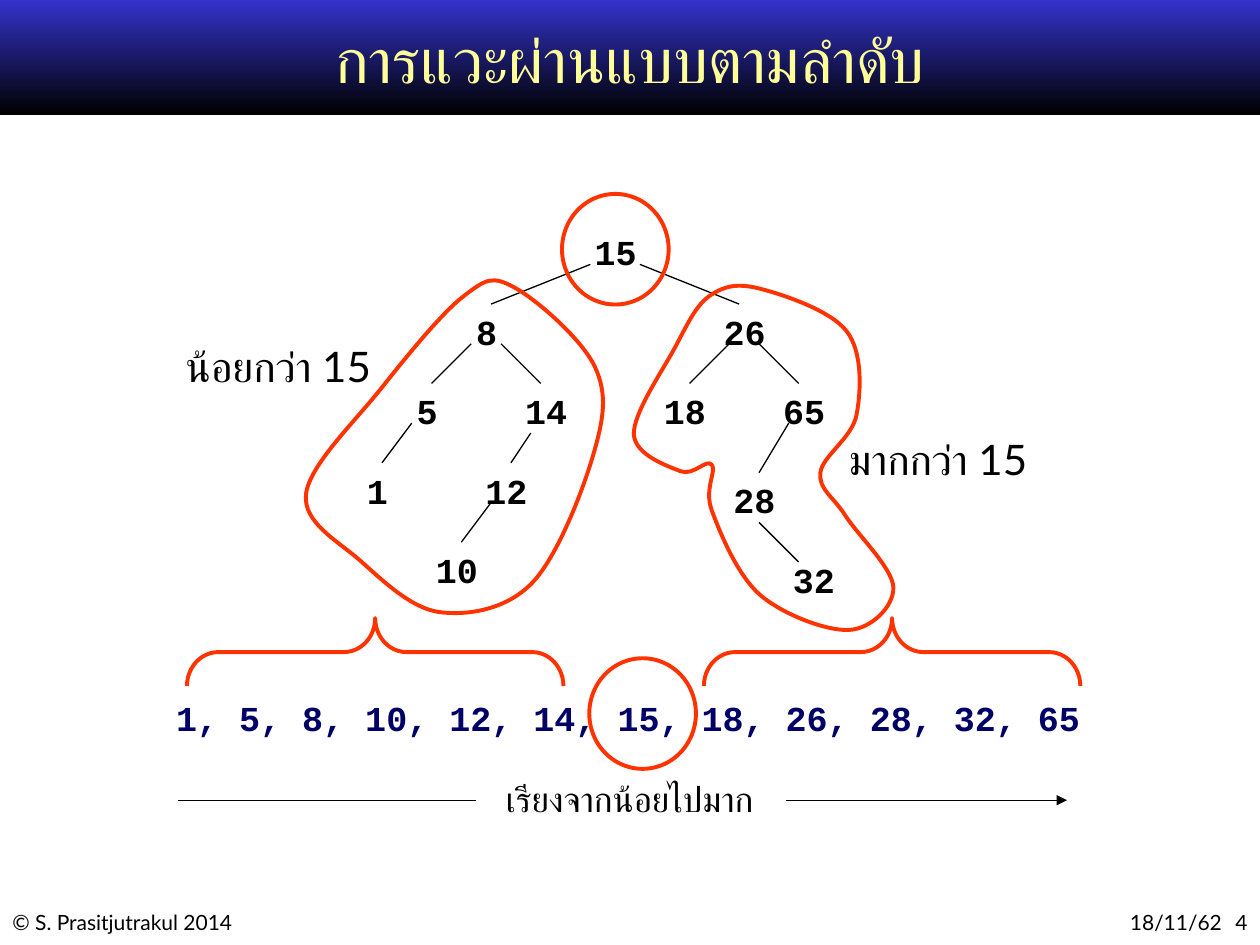
from lxml.etree import SubElement
from pptx import Presentation
from pptx.dml.color import RGBColor
from pptx.enum.shapes import MSO_CONNECTOR as Connector, MSO_SHAPE as Shape
from pptx.enum.text import MSO_ANCHOR as Anchor, PP_ALIGN as Align
from pptx.oxml.ns import qn
from pptx.util import Cm, Pt

BLACK = RGBColor(0x00, 0x00, 0x00)
BLUE = RGBColor(0x33, 0x33, 0xCC)
NAVY = RGBColor(0x00, 0x00, 0x66)
YELLOW = RGBColor(0xFF, 0xFF, 0x99)
ORANGE = RGBColor(0xFF, 0x33, 0x00)

TITLE = {"name": "DejaVu Sans Mono", "size": Pt(36)}
FOOTER = {"name": "Lato", "size": Pt(12)}
LABEL = {"name": "Lato", "size": Pt(24)}
CAPTION = {"name": "Courier New", "size": Pt(20)}
NUMBER = {"name": "Courier New", "size": Pt(20), "bold": True}

presentation = Presentation()
presentation.slide_width, presentation.slide_height = Cm(25.4), Cm(19.05)
slide = presentation.slides.add_slide(presentation.slide_layouts[6])
shapes = slide.shapes


def add_text(parts, left, top, width, height, font_format, color=BLACK,
             align=Align.LEFT, anchor=Anchor.TOP, wrap=True):
    box = shapes.add_textbox(Cm(left), Cm(top), Cm(width), Cm(height))
    frame = box.text_frame
    frame.word_wrap = wrap
    frame.vertical_anchor = anchor
    paragraph = frame.paragraphs[0]
    paragraph.alignment = align
    for part in parts:
        run = paragraph.add_run()
        run.text = part
        for attribute, value in font_format.items():
            setattr(run.font, attribute, value)
        run.font.color.rgb = color
    return paragraph


def add_line(x1, y1, x2, y2):
    line = shapes.add_connector(Connector.STRAIGHT, Cm(x1), Cm(y1), Cm(x2), Cm(y2))
    line.line.color.rgb = BLACK
    line.line.width = Pt(0.75)
    SubElement(line._element.spPr, qn("a:effectLst"))
    return line


# Title band
band = shapes.add_shape(Shape.RECTANGLE, 0, 0, Cm(25.4), Cm(2.32))
band.shadow.inherit = False
band.line.fill.background()
band.fill.gradient()
band.fill.gradient_angle = 270
for stop, position, color in zip(band.fill.gradient_stops, (0, 1), (BLUE, BLACK)):
    stop.position = position
    stop.color.rgb = color

# Footer, with a widened space before the page number, and title
add_text(["© S. Prasitjutrakul 2014"], 0, 18.21, 8.26, 0.76, FOOTER)
date_line = add_text(["18/11/62", " ", "4"], 19.89, 18.21, 5.51, 0.76, FOOTER,
                     align=Align.RIGHT)
date_line.runs[1]._r.get_or_add_rPr().set("spc", "460")
add_text(["การแวะผ่านแบบตามลำดับ"], 1.9, 0.13, 21.6, 2.1, TITLE, YELLOW,
         Align.CENTER, Anchor.MIDDLE)

# Tree nodes: value, left, top
nodes = [
    (15, 11.71, 4.53),
    (8, 9.11, 6.13), (26, 14.31, 6.13),
    (5, 7.91, 7.73), (14, 10.31, 7.73), (18, 13.11, 7.73), (65, 15.51, 7.73),
    (28, 14.51, 9.53), (32, 15.71, 11.13),
    (12, 9.51, 9.33), (10, 8.51, 10.93), (1, 6.91, 9.33),
]
for value, left, top in nodes:
    add_text([str(value)], left, top, 1.4, 1.09, NUMBER, align=Align.CENTER)

# Tree branches: parent end, child end
branches = [
    (11.9, 5.33, 9.9, 6.13), (12.9, 5.33, 14.9, 6.13),
    (9.5, 6.93, 8.7, 7.73), (10.1, 6.93, 10.9, 7.73),
    (8.3, 8.53, 7.7, 9.33), (10.7, 8.73, 10.3, 9.33),
    (9.9, 10.13, 9.3, 10.93), (14.7, 6.93, 13.9, 7.73),
    (15.3, 6.93, 16.1, 7.73), (15.9, 8.53, 15.3, 9.53),
    (15.3, 10.53, 16.1, 11.33),
]
for branch in branches:
    add_line(*branch)

# Visit order
add_text(["1, 5, 8, 10, 12, 14, 15, 18, 26, 28, 32, 65"], 3.3, 13.92, 18.8, 1.09,
         NUMBER, NAVY)

# Direction caption between a line and an arrow
arrow = add_line(15.85, 16.13, 21.51, 16.13)
SubElement(arrow.line._get_or_add_ln(), qn("a:tailEnd"), type="triangle")
add_text(["เรียงจากน้อยไปมาก"], 9.15, 15.54, 7.09, 1.09, CAPTION, align=Align.CENTER)
add_line(9.6, 16.13, 3.58, 16.13)

# Circles round the root and its place in the order
outlines = []
for left, top in [(11.33, 3.91), (11.88, 13.27)]:
    outlines.append(shapes.add_shape(Shape.OVAL, Cm(left), Cm(top), Cm(2.15), Cm(2.23)))

# Smooth closed loops round the two subtrees: bounds, then knots
loops = [
    ((6.1, 5.54, 6.15, 6.88), [
        (9.35, 5.97), (7.67, 7.85), (6.17, 9.96), (7.26, 11.3), (8.86, 12.34),
        (10.72, 11.76), (11.96, 9.17), (11.99, 7.39), (10.36, 5.79)]),
    ((12.75, 5.72, 5.26, 7.01), [
        (15.32, 5.82), (14.3, 5.97), (13.59, 7.04), (12.78, 8.76), (13.72, 9.5),
        (14.35, 9.37), (14.35, 10.29), (15.32, 11.99), (17.12, 12.7), (18.01, 11.84),
        (17.04, 10.39), (16.54, 9.53), (17.27, 8.36), (17.07, 6.68)]),
]
for (left, top, width, height), knots in loops:
    corners = [(Cm(x - left), Cm(y - top)) for x, y in knots]
    builder = shapes.build_freeform(*corners[0])
    builder.add_line_segments(corners[1:] + corners[:1], close=True)
    loop = builder.convert_to_shape()
    loop.left, loop.top, loop.width, loop.height = Cm(left), Cm(top), Cm(width), Cm(height)
    outline = next(loop._element.iter(qn("a:path")))
    outline.set("w", str(Cm(width)))
    outline.set("h", str(Cm(height)))
    start = outline.find(qn("a:moveTo"))[0]
    start.set("x", str(corners[0][0]))
    start.set("y", str(corners[0][1]))
    # Each side becomes a curve whose tangents follow the neighbouring knots
    for index, side in enumerate(outline.findall(qn("a:lnTo"))):
        before, first, last, after = [
            corners[(index + shift) % len(corners)] for shift in (-1, 0, 1, 2)]
        curve = SubElement(outline, qn("a:cubicBezTo"))
        outline.replace(side, curve)
        controls = [
            [b + (c - a) / 6 for a, b, c in zip(before, first, last)],
            [b - (c - a) / 6 for a, b, c in zip(first, last, after)],
            last]
        for x, y in controls:
            SubElement(curve, qn("a:pt"), x=str(round(x)), y=str(round(y)))
    outlines.append(loop)

# Braces over the two halves of the order
for left in (6.88, 17.3):
    brace = shapes.add_shape(Shape.RIGHT_BRACE, Cm(left), Cm(9.35), Cm(1.37), Cm(7.59))
    brace.rotation = 270
    brace.adjustments[0] = 0.46
    outlines.append(brace)

for shape in outlines:
    shape.shadow.inherit = False
    shape.fill.background()
    shape.line.color.rgb = ORANGE
    shape.line.width = Pt(2.25)

# Subtree labels
add_text(["น้อยกว่า 15"], 3.49, 6.74, 4.6, 1.3, LABEL, wrap=False)
add_text(["มากกว่า 15"], 16.86, 8.61, 4.5, 1.3, LABEL, wrap=False)

presentation.save("out.pptx")
